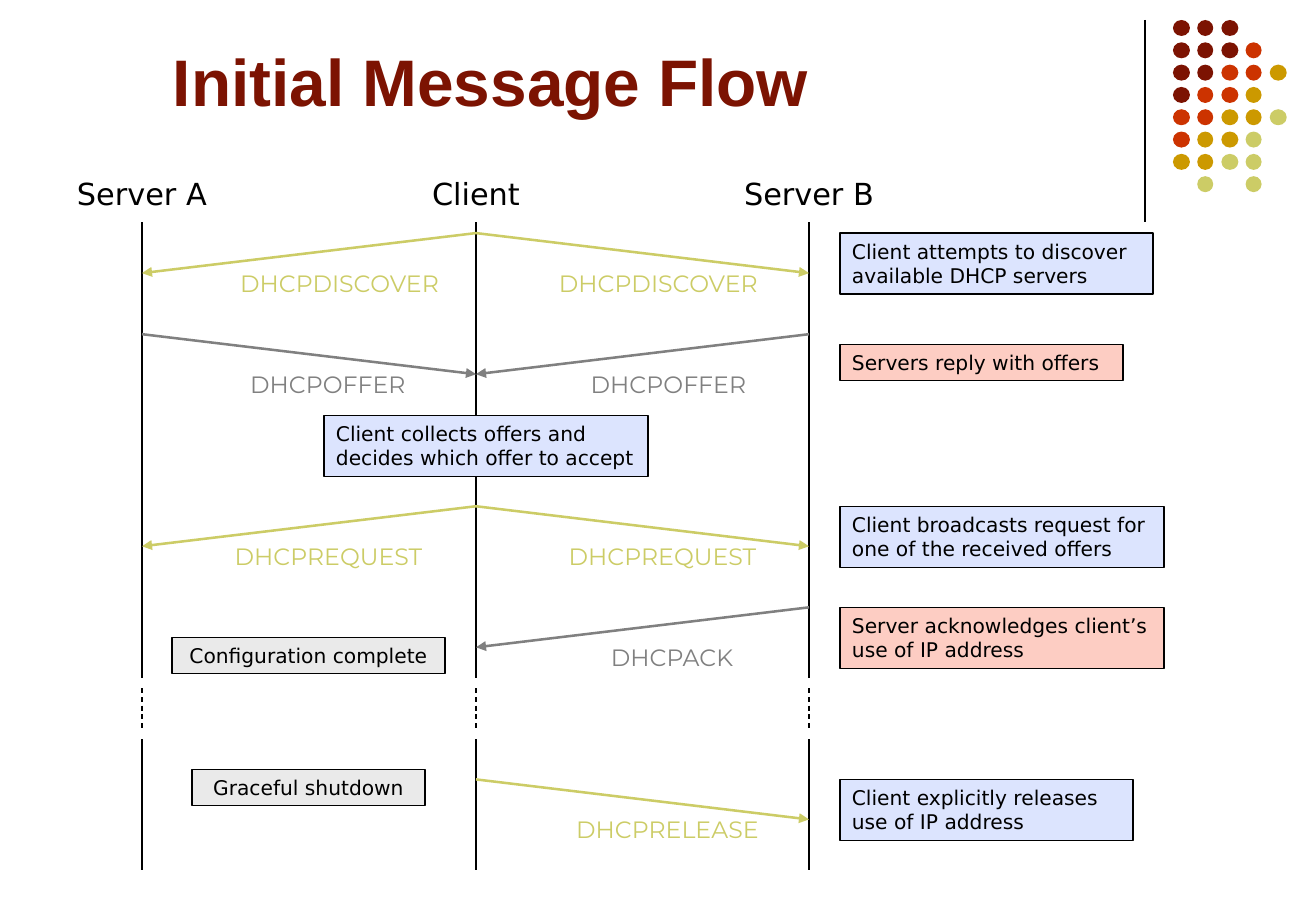
from lxml.etree import SubElement
from pptx import Presentation
from pptx.dml.color import RGBColor
from pptx.enum.dml import MSO_LINE
from pptx.enum.shapes import MSO_CONNECTOR, MSO_SHAPE
from pptx.enum.text import MSO_ANCHOR as ANCHOR, MSO_AUTO_SIZE as AUTO, PP_ALIGN as ALIGN
from pptx.oxml.ns import qn
from pptx.util import Inches, Pt

PX = 914400 / 121.4
SANS = "DejaVu Sans"
BLACK, MAROON, RED, GOLD, LIME = "000000", "7C1302", "CC3300", "CC9900", "CCCC66"
GRAY, BLUE, PINK, PALE = "808080", "DCE4FE", "FDCDC3", "EAEAEA"

# Decorative dots: one letter per colour, a blank leaves a gap
DOTS = ["MMM", "MMMR", "MMRRG", "MRRG", "RRGGL", "RGGL", "GGLL", " L L"]
HUES = {"M": MAROON, "R": RED, "G": GOLD, "L": LIME}

# Lifelines: x, name, name box width
LANES = {"A": (142, "Server A", 162), "C": (476, "Client", 121),
         "B": (809, "Server B", 162)}
SPANS = [(222, 678, None), (688, 728, MSO_LINE.DASH), (739, 870, None)]

# Messages: top, colour, name, then (from, to, label left, label width)
FLOWS = [
    (233, LIME, "DHCPDISCOVER", [("C", "A", 213, 253), ("C", "B", 537, 243)]),
    (334, GRAY, "DHCPOFFER", [("A", "C", 222, 212), ("B", "C", 567, 203)]),
    (506, LIME, "DHCPREQUEST", [("C", "A", 212, 233), ("C", "B", 546, 233)]),
    (607, GRAY, "DHCPACK", [("B", "C", 586, 172)]),
    (779, LIME, "DHCPRELEASE", [("C", "B", 546, 243)]),
]
DROP, BELOW = 40, 30

# Notes: left, top, width, lines, fill, alignment, text
NOTES = [
    (840, 233, 313, 2, BLUE, ALIGN.LEFT,
     "Client attempts to discover available DHCP servers"),
    (840, 344, 283, 1, PINK, ALIGN.LEFT, "Servers reply with offers"),
    (324, 415, 324, 2, BLUE, ALIGN.LEFT,
     "Client collects offers and decides which offer to accept"),
    (840, 506, 324, 2, BLUE, ALIGN.LEFT,
     "Client broadcasts request for one of the received offers"),
    (840, 607, 324, 2, PINK, ALIGN.LEFT,
     "Server acknowledges client’s use of IP address"),
    (172, 637, 273, 1, PALE, ALIGN.CENTER, "Configuration complete"),
    (840, 779, 293, 2, BLUE, ALIGN.LEFT,
     "Client explicitly releases use of IP address"),
    (192, 769, 233, 1, PALE, ALIGN.CENTER, "Graceful shutdown"),
]
HIGH = {1: 36, 2: 61}


def emu(*vals):
    """Turn pixels into EMU."""
    return [round(v * PX) for v in vals]


def paint(part, hue):
    """Give a fill or a font a plain colour."""
    if hasattr(part, "solid"):
        part.solid()
        part.fore_color.rgb = RGBColor.from_string(hue)
    else:
        part.color.rgb = RGBColor.from_string(hue)


def write(shape, text, size, hue, align=ALIGN.LEFT, font=SANS, bold=False):
    """Put one styled run into a shape and return its paragraph."""
    frame = shape.text_frame
    frame.word_wrap = True
    frame.vertical_anchor = ANCHOR.TOP
    para = frame.paragraphs[0]
    para.alignment = align
    run = para.add_run()
    run.text = text
    run.font.name, run.font.size, run.font.bold = font, Pt(size), bold
    paint(run.font, hue)
    return para


def label(box, *args, **opts):
    """Add a text box and return its paragraph."""
    return write(slide.shapes.add_textbox(*emu(*box)), *args, **opts)


def solid(kind, box, fill, edge=None):
    """Add a filled preset shape, outlined if an edge colour is given."""
    shape = slide.shapes.add_shape(kind, *emu(*box))
    shape.shadow.inherit = False
    paint(shape.fill, fill)
    if edge:
        paint(shape.line.fill, edge)
        shape.line.width = Pt(0.74)
    else:
        shape.line.fill.background()
    return shape


def rule(ends, hue=BLACK, width=0.74, dash=None, arrow=False):
    """Add a straight line, with an arrowhead at its end if asked."""
    line = slide.shapes.add_connector(MSO_CONNECTOR.STRAIGHT, *emu(*ends))
    paint(line.line.fill, hue)
    line.line.width = Pt(width)
    if dash:
        line.line.dash_style = dash
    if arrow:
        SubElement(line.line._get_or_add_ln(), qn("a:tailEnd"), type="triangle")
    SubElement(line._element.spPr, qn("a:effectLst"))


deck = Presentation()
deck.slide_width, deck.slide_height = Inches(10.84), Inches(7.5)
slide = deck.slides.add_slide(deck.slide_layouts[6])

rule((1145, 20, 1145, 222))
for row, marks in enumerate(DOTS):
    for col, mark in enumerate(marks):
        if mark in HUES:
            spot = (1173 + 24.2 * col, 20 + 22.3 * row, 17 - col % 2, 16)
            solid(MSO_SHAPE.OVAL, spot, HUES[mark])

label((161, 30, 698, 101), "Initial Message Flow", 39, MAROON, font="Arial", bold=True)
slide.shapes[-1].text_frame.vertical_anchor = ANCHOR.MIDDLE

for x, name, wide in LANES.values():
    para = label((x - wide / 2 + 10 * 0, 182, wide, 34), name, 18, BLACK, ALIGN.CENTER)
    para.line_spacing = 0.6
    for top, end, dash in SPANS:
        rule((x, top, x, end), dash=dash)

for top, hue, name, sends in FLOWS:
    for start, end, left, wide in sends:
        rule((LANES[start][0], top, LANES[end][0], top + DROP), hue, 1.5, arrow=True)
        label((left, top + BELOW, wide, 41), name, 14, hue, ALIGN.CENTER, "Montserrat")

for left, top, wide, lines, fill, align, text in NOTES:
    note = solid(MSO_SHAPE.RECTANGLE, (left, top, wide, HIGH[lines]), fill, BLACK)
    write(note, text, 12, BLACK, align)
    note.text_frame.auto_size = AUTO.SHAPE_TO_FIT_TEXT

deck.save("out.pptx")
